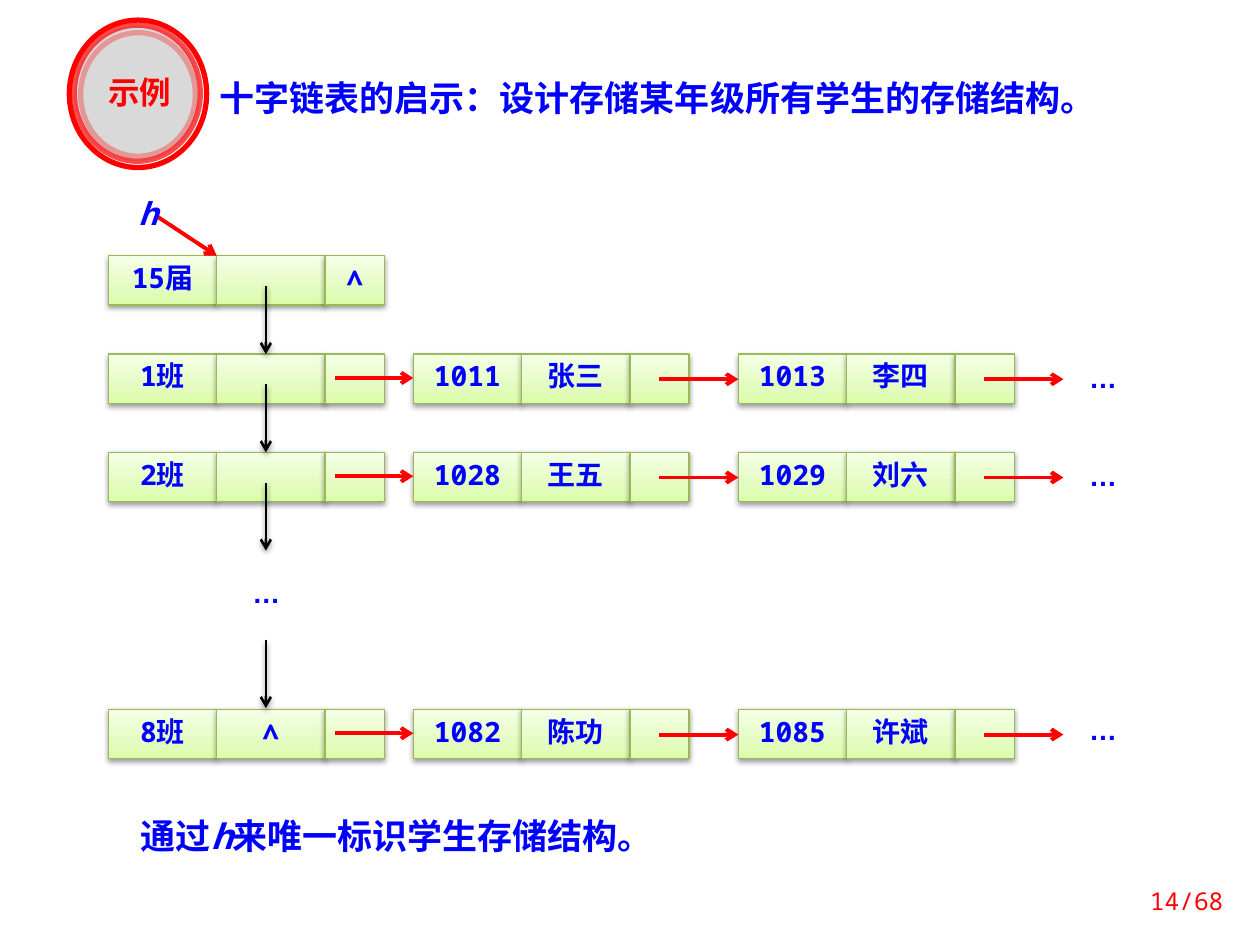
from copy import deepcopy

from pptx import Presentation
from pptx.dml.color import RGBColor
from pptx.enum.shapes import MSO_CONNECTOR as Connector, MSO_SHAPE as Shape
from pptx.enum.text import MSO_ANCHOR as Anchor, MSO_AUTO_SIZE as AutoSize, PP_ALIGN as Align
from pptx.oxml import parse_xml
from pptx.oxml.ns import nsdecls, qn
from pptx.util import Inches, Pt

COLORS = {
    "text": "0000FF", "accent": "FF0000", "link": "000000", "cell_line": "98B955",
    "badge": "F8F8F8", "badge_inner": "D9D9D9",
}
CELL_STOPS = [(0, "DAFDA7"), (0.35, "E4FCC2"), (1, "F5FFE7")]
MONO = "Noto Sans Mono"
NO_EFFECT = f"<a:effectLst {nsdecls('a')}/>"
SHADOW = (
    f"<a:effectLst {nsdecls('a')}>"
    '<a:outerShdw blurRad="40000" dist="20000" dir="5400000" rotWithShape="0">'
    '<a:srgbClr val="000000"><a:alpha val="38000"/></a:srgbClr>'
    "</a:outerShdw></a:effectLst>"
)

deck = Presentation()
deck.slide_width, deck.slide_height = Inches(10), Inches(7.5)
page = deck.slides.add_slide(deck.slide_layouts[5])


def write(box, spans, size, color="text", name=MONO, bold=True,
          align=Align.CENTER, spacing=0.8, anchor=Anchor.TOP):
    """Fill a box with one paragraph; the span "h" is set in italics."""
    frame = box.text_frame
    frame.word_wrap = True
    frame.auto_size = AutoSize.NONE
    frame.vertical_anchor = anchor
    para = frame.paragraphs[0]
    para.alignment = align
    para.line_spacing = spacing
    para.font.size = Pt(size)
    para.font.name = name
    para.font.bold = bold
    para.font.color.rgb = RGBColor.from_string(COLORS[color])
    for text in spans:
        span = para.add_run()
        span.text = text
        if text == "h":
            span.font.italic = True


def add_arrow(x1, y1, x2, y2, color="accent", width=2.25, effect=NO_EFFECT):
    arrow = page.shapes.add_connector(
        Connector.STRAIGHT, Inches(x1), Inches(y1), Inches(x2), Inches(y2))
    arrow.line.color.rgb = RGBColor.from_string(COLORS[color])
    arrow.line.width = Pt(width)
    arrow.line._get_or_add_ln().append(
        parse_xml(f'<a:tailEnd {nsdecls("a")} type="arrow"/>'))
    arrow._element.spPr.append(parse_xml(effect))


# Heading
heading = page.shapes.title
heading.left, heading.top = Inches(1.64), Inches(0.55)
heading.width, heading.height = Inches(7.34), Inches(0.44)
write(heading, ["十字链表的启示：设计存储某年级所有学生的存储结构。"], 20,
      align=Align.LEFT, spacing=1, anchor=Anchor.MIDDLE)

# List nodes: each has two wide cells and a narrow pointer cell
CELL_HEIGHT = 0.39
NODE_LEFTS = [0.86, 3.28, 5.86]
CELLS = [(0, 0.86), (0.86, 0.86), (1.72, 0.47)]  # offset, width
rows = [
    (2.03, [("15届", "", "∧")]),
    (2.81, [("1班", "", ""), ("1011", "张三", ""), ("1013", "李四", "")]),
    (3.59, [("2班", "", ""), ("1028", "王五", ""), ("1029", "刘六", "")]),
    (5.63, [("8班", "∧", ""), ("1082", "陈功", ""), ("1085", "许斌", "")]),
]
for top, nodes in rows:
    for left, labels in zip(NODE_LEFTS, nodes):
        for (offset, width), label in zip(CELLS, labels):
            cell = page.shapes.add_shape(
                Shape.RECTANGLE, Inches(left + offset), Inches(top),
                Inches(width), Inches(CELL_HEIGHT))
            cell.fill.gradient()
            cell.fill.gradient_angle = 90
            stop_list = cell._element.spPr.find(qn("a:gradFill")).find(qn("a:gsLst"))
            stop_list.insert(1, deepcopy(stop_list[0]))
            for stop, (position, color) in zip(cell.fill.gradient_stops, CELL_STOPS):
                stop.position = position
                stop.color.rgb = RGBColor.from_string(color)
            cell.line.color.rgb = RGBColor.from_string(COLORS["cell_line"])
            cell.line.width = Pt(0.75)
            cell._element.spPr.append(parse_xml(SHADOW))
            if label:
                write(cell, [label], 16, anchor=Anchor.MIDDLE)

# Row links from each class to its students
for top, nodes in rows[1:]:
    for start, end, drop in [(2.66, 3.28, 0.19), (5.23, 5.86, 0.2), (7.81, 8.44, 0.2)]:
        add_arrow(start, top + drop, end, top + drop)

# Column links between the classes
for start in [2.27, 3.05, 3.83, 5.08]:
    add_arrow(2.11, start, 2.11, start + 0.54, "link", 1.5, SHADOW)

# Ellipses at the ends of the rows and inside the column
for left, top in [(8.44, 2.86), (8.44, 3.64), (8.44, 5.66), (1.8, 4.57)]:
    dots = page.shapes.add_textbox(Inches(left), Inches(top), Inches(0.63), Inches(0.32))
    write(dots, ["…"], 16, name="Arial")

# Head pointer
add_arrow(1.25, 1.72, 1.72, 2.03)
head = page.shapes.add_textbox(Inches(0.86), Inches(1.55), Inches(0.63), Inches(0.35))
write(head, ["h"], 18)

# Conclusion
conclusion = page.shapes.add_textbox(Inches(1.02), Inches(6.48), Inches(6.8), Inches(0.37))
write(conclusion, ["通过", "h", "来唯一标识学生存储结构。"], 20, align=Align.LEFT)

# Badge of three rings, fading inwards
rings = [
    (0.55, 0.16, 1.09, 1.17, "badge", 100),
    (0.59, 0.2, 1, 1.08, "badge_inner", 70),
    (0.64, 0.26, 0.91, 0.98, None, 30),
]
for left, top, width, height, fill, opacity in rings:
    ring = page.shapes.add_shape(
        Shape.OVAL, Inches(left), Inches(top), Inches(width), Inches(height))
    ring.shadow.inherit = False
    if fill:
        ring.fill.solid()
        ring.fill.fore_color.rgb = RGBColor.from_string(COLORS[fill])
    else:
        ring.fill.background()
    ring.line.color.rgb = RGBColor.from_string(COLORS["accent"])
    ring.line.width = Pt(3)
    if opacity < 100:
        line_color = ring.line._get_or_add_ln().find(qn("a:solidFill"))[0]
        line_color.append(parse_xml(f'<a:alpha {nsdecls("a")} val="{opacity * 1000}"/>'))
badge = page.shapes.add_textbox(Inches(0.71), Inches(0.59), Inches(0.8), Inches(0.34))
write(badge, ["示例"], 18, "accent", "Noto Sans CJK SC")

# Page number
number = page.shapes.add_textbox(Inches(8.83), Inches(6.95), Inches(0.98), Inches(0.4))
write(number, ["14/68"], 14, "accent", bold=False, align=Align.RIGHT,
      spacing=1, anchor=Anchor.MIDDLE)

deck.save("out.pptx")
